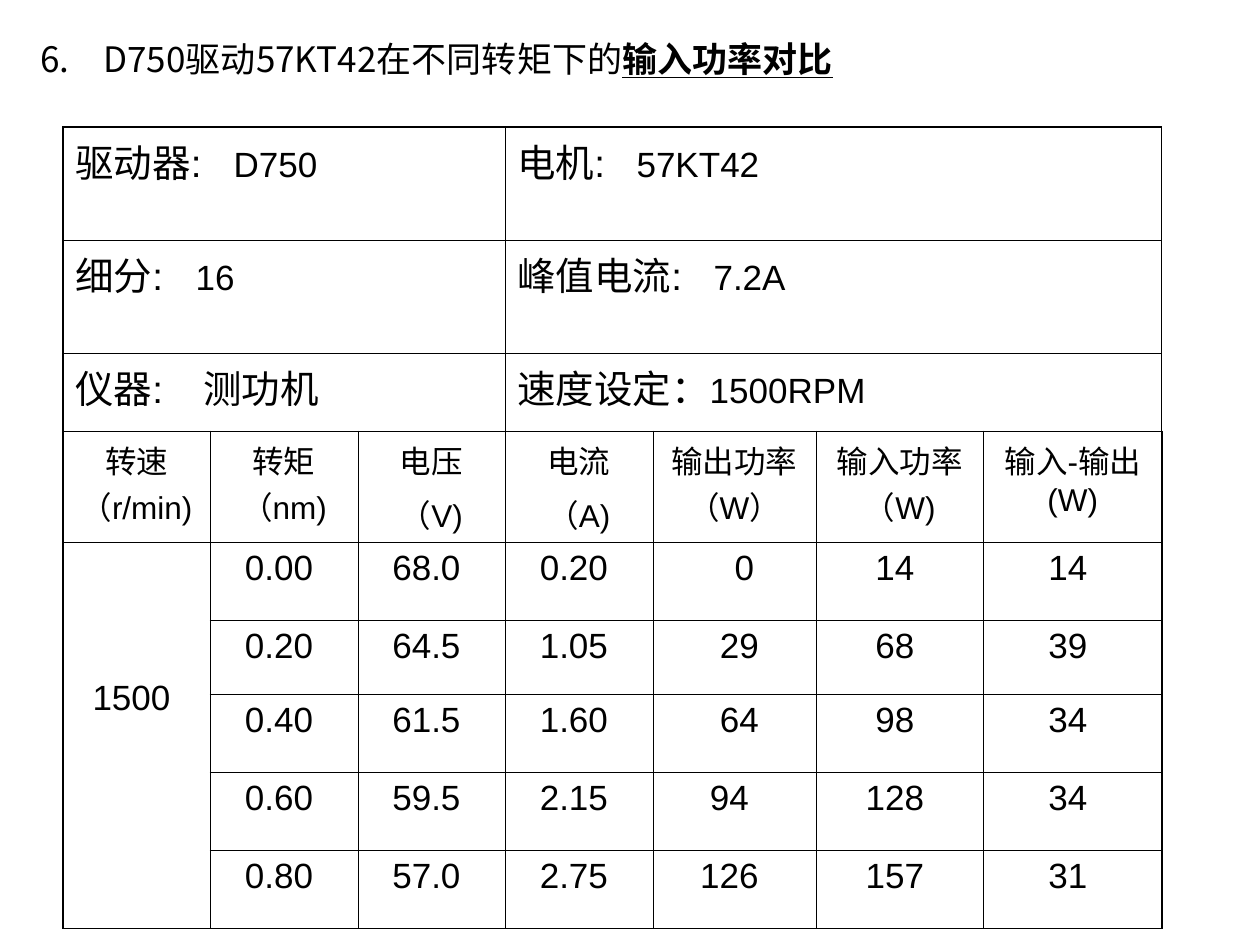
from lxml.etree import SubElement
from pptx import Presentation
from pptx.dml.color import RGBColor
from pptx.enum.text import MSO_AUTO_SIZE, PP_ALIGN
from pptx.oxml.ns import qn
from pptx.util import Emu, Pt

PX = 914400 // 126
BLACK = RGBColor(0x00, 0x00, 0x00)
LATIN, CJK = "Arial", "Noto Sans CJK SC"
THIN, THICK = 0.45, 1.08

DRIVER, MOTOR = "D750", "57KT42"
COLUMNS = [147, 148, 147, 148, 163, 168, 178]
ROWS = [113, 113, 78, 97, 78, 74, 78, 78, 78]
SPLIT = 3  # column where the right-hand settings begin
HEADER_ROW = 3

# label, value, tab stop of the value in px
SETTINGS = [
    [("驱动器:", DRIVER, 158), ("电机:", MOTOR, 119)],
    [("细分:", "16", 120), ("峰值电流:", "7.2A", 196)],
    [("仪器:", "测功机", 128), ("速度设定：", "1500RPM", None)],
]
HEADERS = [
    ["转速（r/min)"], ["转矩（nm)"], ["电压", "（V)"], ["电流", "（A)"],
    ["输出功率（W）"], ["输入功率（W)"], ["输入-输出(W)"],
]
SPEED = "1500"
READINGS = [
    ["0.00", "68.0", "0.20", "0", "14", "14"],
    ["0.20", "64.5", "1.05", "29", "68", "39"],
    ["0.40", "61.5", "1.60", "64", "98", "34"],
    ["0.60", "59.5", "2.15", "94", "128", "34"],
    ["0.80", "57.0", "2.75", "126", "157", "31"],
]
OUTPUT_COLUMN = 4
OUTPUT_SHIFTS = [10, 5, 5, -5, -5]
READING_SHIFT = -5


def px(length):
    return Emu(length * PX)


def add_run(paragraph, text, size, latin=LATIN, bold=False, underline=False):
    run = paragraph.add_run()
    run.text = text
    font = run.font
    font.name, font.size = latin, Pt(size)
    font.bold, font.underline = bold, underline
    font.color.rgb = BLACK
    SubElement(run._r.get_or_add_rPr(), qn("a:ea"), typeface=CJK)


def add_tab_stop(paragraph, position):
    stops = SubElement(paragraph._p.get_or_add_pPr(), qn("a:tabLst"))
    SubElement(stops, qn("a:tab"), pos=str(px(position)), algn="l")


def number_paragraph(paragraph, start, indent):
    properties = paragraph._p.get_or_add_pPr()
    properties.set("marL", str(px(indent)))
    properties.set("indent", str(-px(indent)))
    color = SubElement(properties, qn("a:buClr"))
    SubElement(color, qn("a:srgbClr"), val=str(BLACK))
    SubElement(properties, qn("a:buAutoNum"), type="arabicPeriod", startAt=str(start))


def add_title(slide):
    frame = slide.shapes.add_textbox(px(28), px(31), px(829), px(97)).text_frame
    frame.word_wrap = True
    frame.auto_size = MSO_AUTO_SIZE.SHAPE_TO_FIT_TEXT
    title = frame.paragraphs[0]
    number_paragraph(title, start=6, indent=63)
    add_run(title, f"{DRIVER}驱动{MOTOR}在不同转矩下的", 20, latin=CJK)
    add_run(title, "输入功率对比", 20, bold=True, underline=True)


def style_cell(cell, widths):
    """Draw the borders, given as line widths by side, and clear the fill."""
    properties = cell._tc.get_or_add_tcPr()
    for side, width in widths.items():
        line = SubElement(properties, qn(f"a:ln{side}"), w=str(Pt(width)))
        fill = SubElement(line, qn("a:solidFill"))
        SubElement(fill, qn("a:srgbClr"), val=str(BLACK))
    cell.fill.background()


def fill_setting(cell, label, value, tab_stop):
    setting = cell.text_frame.paragraphs[0]
    if tab_stop:
        add_tab_stop(setting, tab_stop)
        label += "\t"
    add_run(setting, label, 22)
    add_run(setting, value, 22 if value == "测功机" else 20)


def fill_header(cell, lines):
    frame = cell.text_frame
    for index, line in enumerate(lines):
        paragraph = frame.add_paragraph() if index else frame.paragraphs[0]
        paragraph.alignment = PP_ALIGN.CENTER
        if index:
            paragraph.space_before = Pt(4.5)
        add_run(paragraph, line, 18)


def fill_reading(cell, value, shift):
    """Centre a value, moved sideways by shift px."""
    cell.margin_left += px(max(2 * shift, 0))
    cell.margin_right += px(max(-2 * shift, 0))
    reading = cell.text_frame.paragraphs[0]
    reading.alignment = PP_ALIGN.CENTER
    add_run(reading, value, 20)


def add_power_table(slide):
    frame = slide.shapes.add_table(len(ROWS), len(COLUMNS), px(63), px(127),
                                   px(sum(COLUMNS)), px(sum(ROWS)))
    table = frame.table
    table.first_row = table.horz_banding = False
    for column, width in zip(table.columns, COLUMNS):
        column.width = px(width)
    for row, height in zip(table.rows, ROWS):
        row.height = px(height)

    last_row, last_column = len(ROWS) - 1, len(COLUMNS) - 1
    for r in range(len(ROWS)):
        for c in range(len(COLUMNS)):
            style_cell(table.cell(r, c), {
                "L": THICK if c == 0 else THIN,
                "R": THICK if c == last_column else THIN,
                "T": THICK if r == 0 else THIN,
                "B": THICK if r == last_row else THIN,
            })

    for r, settings in enumerate(SETTINGS):
        spans = [(0, SPLIT - 1), (SPLIT, last_column)]
        for (first, last), setting in zip(spans, settings):
            cell = table.cell(r, first)
            cell.merge(table.cell(r, last))
            fill_setting(cell, *setting)

    for c, lines in enumerate(HEADERS):
        fill_header(table.cell(HEADER_ROW, c), lines)

    first_reading = HEADER_ROW + 1
    speed = table.cell(first_reading, 0)
    speed.merge(table.cell(last_row, 0))
    speed.margin_top = px(136)
    fill_reading(speed, SPEED, READING_SHIFT)

    for r, (values, output_shift) in enumerate(zip(READINGS, OUTPUT_SHIFTS), first_reading):
        for c, value in enumerate(values, 1):
            shift = output_shift if c == OUTPUT_COLUMN else READING_SHIFT
            fill_reading(table.cell(r, c), value, shift)


def main():
    presentation = Presentation()
    presentation.slide_width, presentation.slide_height = px(1260), px(945)
    slide = presentation.slides.add_slide(presentation.slide_layouts[6])
    add_power_table(slide)
    add_title(slide)
    presentation.save("out.pptx")


if __name__ == "__main__":
    main()
